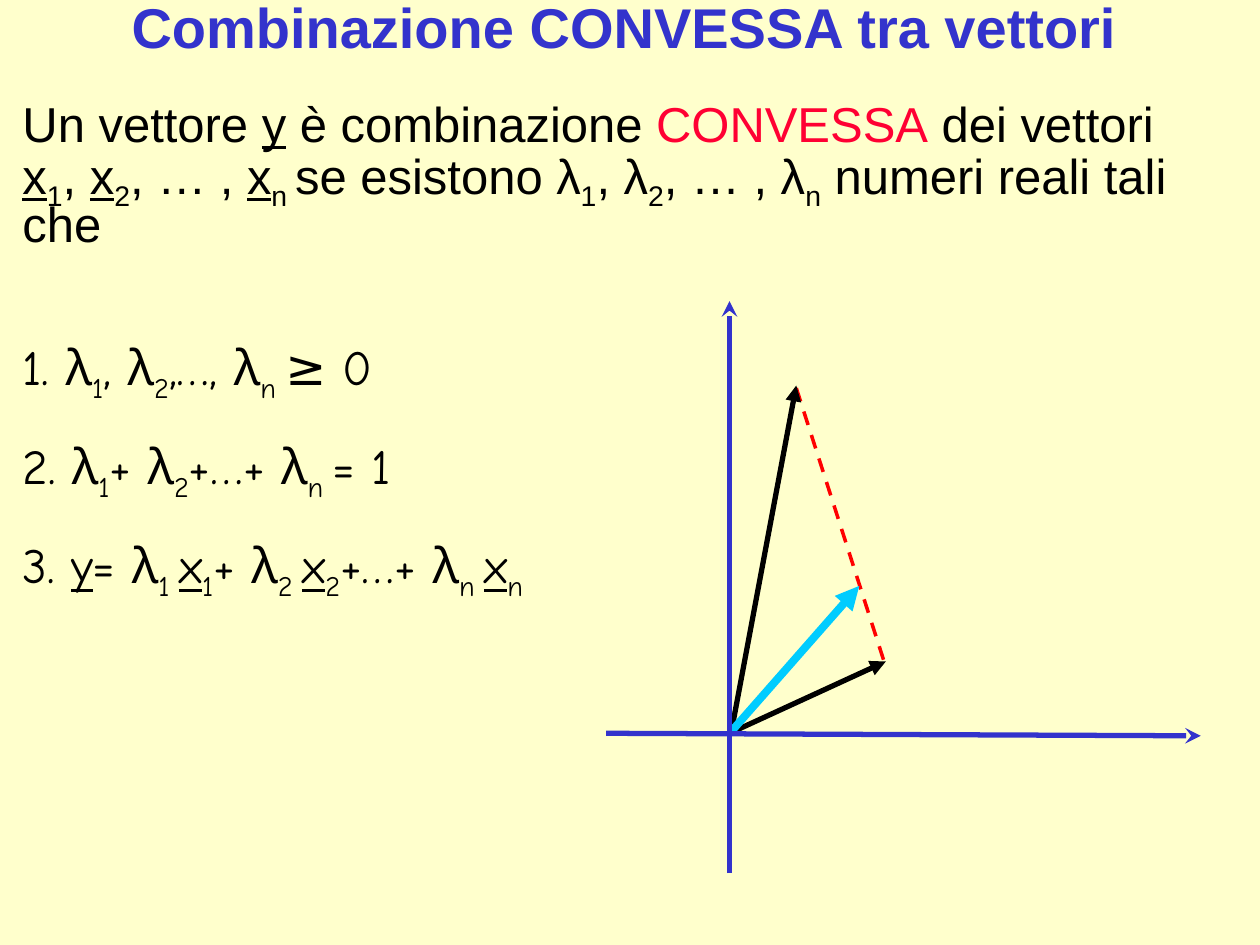
"""Build a slide on the convex combination of vectors."""
from lxml.etree import SubElement as Sub
from pptx import Presentation
from pptx.dml.color import RGBColor
from pptx.enum.dml import MSO_LINE
from pptx.enum.shapes import MSO_CONNECTOR
from pptx.enum.text import MSO_ANCHOR, PP_ALIGN
from pptx.oxml.ns import qn
from pptx.util import Inches, Pt

BLACK, BLUE, RED, CYAN = "000000", "3333CC", "FF0000", "00CCFF"
ROSE, CREAM = "FF0033", "FFFFCC"
SANS, COMIC = "Arial", "Comic Neue"

TITLE = "Combinazione CONVESSA tra vettori"
# Each run is (text, marks): u underlined, s subscript, r rose.
INTRO = [
    [("Un vettore ", ""), ("y", "u"), (" è combinazione ", ""),
     ("CONVESSA", "r"), (" dei vettori", "")],
    [("x", "u"), ("1", "s"), (", ", ""), ("x", "u"), ("2", "s"),
     (", … , ", ""), ("x", "u"), ("n ", "s"), ("se esistono λ", ""),
     ("1", "s"), (", λ", ""), ("2", "s"), (", … , λ", ""), ("n", "s"),
     (" numeri reali tali che", "")],
]
RULES = [
    [("1. λ", ""), ("1", "s"), (", λ", ""), ("2", "s"), (",…, λ", ""),
     ("n ", "s"), ("≥ 0", "")],
    [("2. λ", ""), ("1", "s"), ("+ λ", ""), ("2", "s"), ("+…+ λ", ""),
     ("n ", "s"), ("= 1", "")],
    [("3. ", ""), ("y", "u"), ("= λ", ""), ("1 ", "s"), ("x", "u"),
     ("1", "s"), ("+ λ", ""), ("2 ", "s"), ("x", "u"), ("2", "s"),
     ("+…+ λ", ""), ("n ", "s"), ("x", "u"), ("n", "s")],
]
GAP = 26
LINES = [
    ((6.32, 3.08), (7.02, 5.26), RED, 2, None),
    ((5.79, 5.82), (7.03, 5.25), BLACK, 3, "triangle"),
    ((5.8, 5.83), (6.32, 3.06), BLACK, 3, "triangle"),
    ((5.8, 5.81), (6.82, 4.65), CYAN, 4.5, "triangle"),
    ((5.79, 6.93), (5.79, 2.39), BLUE, 3, "stealth"),
    ((4.81, 5.82), (9.53, 5.84), BLUE, 3, "stealth"),
]


def rgb(code):
    return RGBColor.from_string(code)


def add_box(slide, *place):
    frame = slide.shapes.add_textbox(*map(Inches, place)).text_frame
    frame.word_wrap = True
    return frame


def add_run(para, text, size, face, color):
    run = para.add_run()
    run.text = text
    font = run.font
    font.size, font.name = Pt(size), face
    font.color.rgb = rgb(color)
    return run


def add_body(frame):
    rows = [(row, SANS, 0) for row in INTRO]
    rows += [(row, COMIC, GAP if i else 2 * GAP) for i, row in enumerate(RULES)]
    for i, (row, face, gap) in enumerate(rows):
        para = frame.add_paragraph() if i else frame.paragraphs[0]
        para.line_spacing = 0.8
        if gap:
            para.space_before = Pt(gap)
        for text, mark in row:
            run = add_run(para, text, 28, face, ROSE if mark == "r" else BLACK)
            if mark == "u":
                run.font.underline = True
            if mark == "s":
                run._r.get_or_add_rPr().set("baseline", "-25000")


def add_line(slide, start, end, color, width, tip):
    ends = map(Inches, start + end)
    link = slide.shapes.add_connector(MSO_CONNECTOR.STRAIGHT, *ends)
    line = link.line
    line.color.rgb, line.width = rgb(color), Pt(width)
    if tip:
        Sub(line._get_or_add_ln(), qn("a:tailEnd"), type=tip)
    else:
        line.dash_style = MSO_LINE.DASH
    Sub(link._element.spPr, qn("a:effectLst"))


def main():
    deck = Presentation()
    deck.slide_width, deck.slide_height = Inches(10), Inches(7.5)
    slide = deck.slides.add_slide(deck.slide_layouts[6])
    fill = slide.background.fill
    fill.solid()
    fill.fore_color.rgb = rgb(CREAM)

    head = add_box(slide, 0.56, 0, 8.79, 0.48)
    head.vertical_anchor = MSO_ANCHOR.MIDDLE
    para = head.paragraphs[0]
    para.alignment, para.line_spacing = PP_ALIGN.CENTER, 0.9
    add_run(para, TITLE, 32, SANS, BLUE).font.bold = True

    add_body(add_box(slide, 0.08, 0.78, 9.92, 4.13))
    for item in LINES:
        add_line(slide, *item)
    deck.save("out.pptx")


if __name__ == "__main__":
    main()
